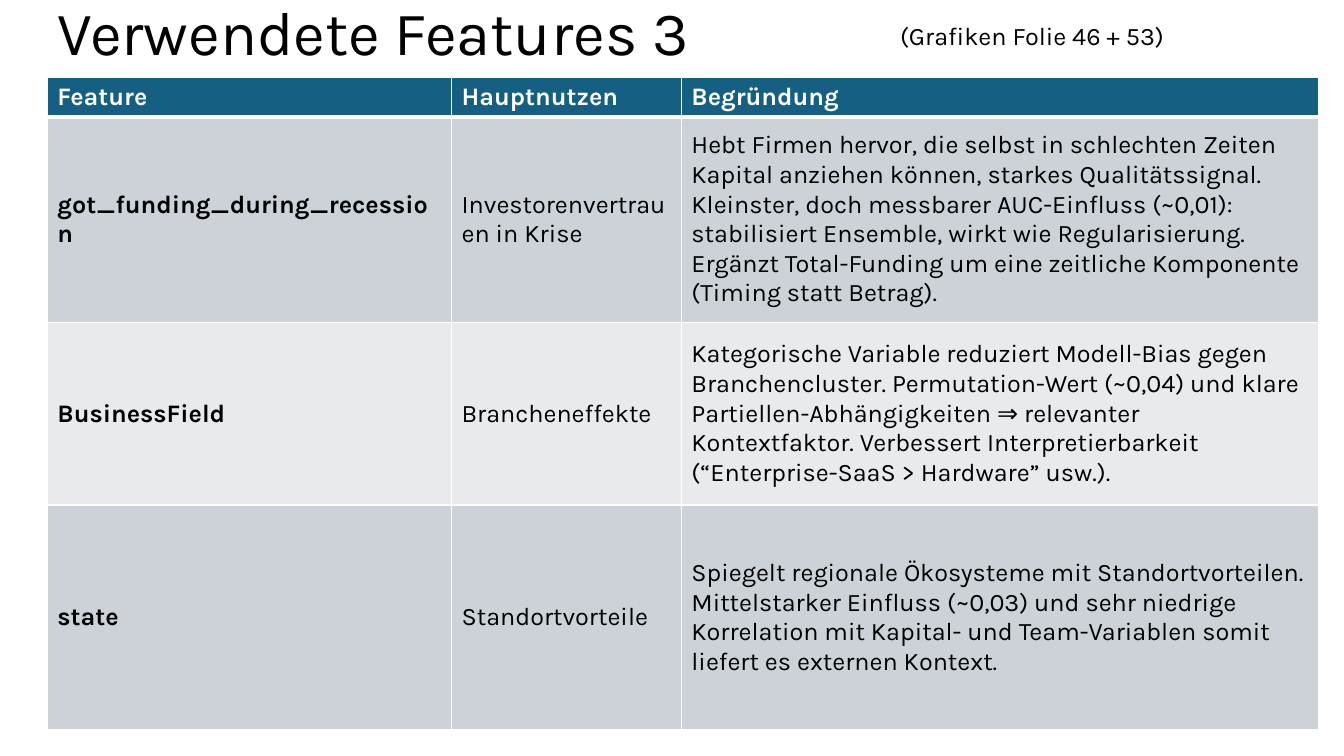
from dataclasses import dataclass

from lxml.etree import SubElement
from pptx import Presentation
from pptx.dml.color import RGBColor
from pptx.enum.text import MSO_ANCHOR as Anchor, MSO_AUTO_SIZE as AutoSize, PP_ALIGN as Align
from pptx.oxml.ns import qn
from pptx.slide import Slide
from pptx.table import _Cell as Cell
from pptx.text.text import TextFrame
from pptx.util import Pt

FONT = "Karla"
COLORS = {
    "text": "000000",
    "white": "FFFFFF",
    "header": "156082",
    "band_dark": "CCD2D8",
    "band_light": "E8EAED",
}
LEFT = 33.84
COLUMN_WIDTHS = (288.7, 164.2, 455)
HEADINGS = ("Feature", "Hauptnutzen", "Begründung")
HEADER_HEIGHT = 28


@dataclass(frozen=True)
class Feature:
    name: str
    benefit: str
    reason: str
    height: float


FEATURES = (
    Feature(
        "got_funding_during_recession",
        "Investorenvertrauen in Krise",
        "Hebt Firmen hervor, die selbst in schlechten Zeiten Kapital anziehen können, "
        "starkes Qualitätssignal. Kleinster, doch messbarer AUC-Einfluss (~0,01): "
        "stabilisiert Ensemble, wirkt wie Regularisierung. Ergänzt Total-Funding um eine "
        "zeitliche Komponente (Timing statt Betrag).",
        146.9,
    ),
    Feature(
        "BusinessField",
        "Brancheneffekte",
        "Kategorische Variable reduziert Modell-Bias gegen Branchencluster. "
        "Permutation-Wert (~0,04) und klare Partiellen-Abhängigkeiten ⇒ relevanter "
        "Kontextfaktor. Verbessert Interpretierbarkeit (“Enterprise-SaaS > Hardware” usw.).",
        130.5,
    ),
    Feature(
        "state",
        "Standortvorteile",
        "Spiegelt regionale Ökosysteme mit Standortvorteilen. Mittelstarker Einfluss (~0,03) "
        "und sehr niedrige Korrelation mit Kapital- und Team-Variablen somit liefert es "
        "externen Kontext.",
        160.6,
    ),
)


def write(frame: TextFrame, text: str, size: float = 18, color: str = "text",
          bold: bool = False) -> None:
    frame.text = text
    paragraph = frame.paragraphs[0]
    paragraph.alignment = Align.LEFT
    font = paragraph.font
    font.name, font.size, font.bold = FONT, Pt(size), bold
    font.color.rgb = RGBColor.from_string(COLORS[color])


def add_borders(cell: Cell, bottom_width: float) -> None:
    """Give the cell white borders; call before filling it, as the schema orders them."""
    properties = cell._tc.get_or_add_tcPr()
    for side, width in (("L", 1), ("R", 1), ("T", 1), ("B", bottom_width)):
        line = SubElement(properties, qn(f"a:ln{side}"), w=str(Pt(width)))
        fill = SubElement(line, qn("a:solidFill"))
        SubElement(fill, qn("a:srgbClr"), val=COLORS["white"])


def fill_cell(cell: Cell, text: str, fill: str, color: str = "text",
              bold: bool = False, bottom_width: float = 1) -> None:
    write(cell.text_frame, text, color=color, bold=bold)
    cell.vertical_anchor = Anchor.MIDDLE
    add_borders(cell, bottom_width)
    cell.fill.solid()
    cell.fill.fore_color.rgb = RGBColor.from_string(COLORS[fill])


def add_title(slide: Slide) -> None:
    title = slide.shapes.title
    title.left, title.top, title.width, title.height = Pt(LEFT), Pt(-26.6), Pt(828), Pt(104.4)
    frame = title.text_frame
    write(frame, "Verwendete Features 3", size=44)
    frame.auto_size = AutoSize.NONE
    frame.vertical_anchor = Anchor.MIDDLE
    frame.paragraphs[0].line_spacing = 0.9


def add_feature_table(slide: Slide) -> None:
    heights = (HEADER_HEIGHT, *(feature.height for feature in FEATURES))
    table = slide.shapes.add_table(
        len(heights), len(HEADINGS), Pt(LEFT), Pt(55),
        Pt(sum(COLUMN_WIDTHS)), Pt(sum(heights)),
    ).table
    for column, width in zip(table.columns, COLUMN_WIDTHS):
        column.width = Pt(width)
    for row, height in zip(table.rows, heights):
        row.height = Pt(height)

    for column, heading in enumerate(HEADINGS):
        fill_cell(table.cell(0, column), heading, "header", "white", True, bottom_width=3)
    for row, feature in enumerate(FEATURES, start=1):
        band = "band_dark" if row % 2 else "band_light"
        for column, text in enumerate((feature.name, feature.benefit, feature.reason)):
            fill_cell(table.cell(row, column), text, band, bold=column == 0)


def add_chart_reference(slide: Slide) -> None:
    box = slide.shapes.add_textbox(Pt(635.8), Pt(10.8), Pt(417.6), Pt(29))
    frame = box.text_frame
    frame.word_wrap = True
    frame.auto_size = AutoSize.SHAPE_TO_FIT_TEXT
    write(frame, "(Grafiken Folie 46 + 53)")


def main() -> None:
    presentation = Presentation()
    presentation.slide_width, presentation.slide_height = Pt(960), Pt(540)
    title_only = presentation.slide_layouts.get_by_name("Title Only")
    slide = presentation.slides.add_slide(title_only)
    add_title(slide)
    add_feature_table(slide)
    add_chart_reference(slide)
    presentation.save("out.pptx")


if __name__ == "__main__":
    main()
